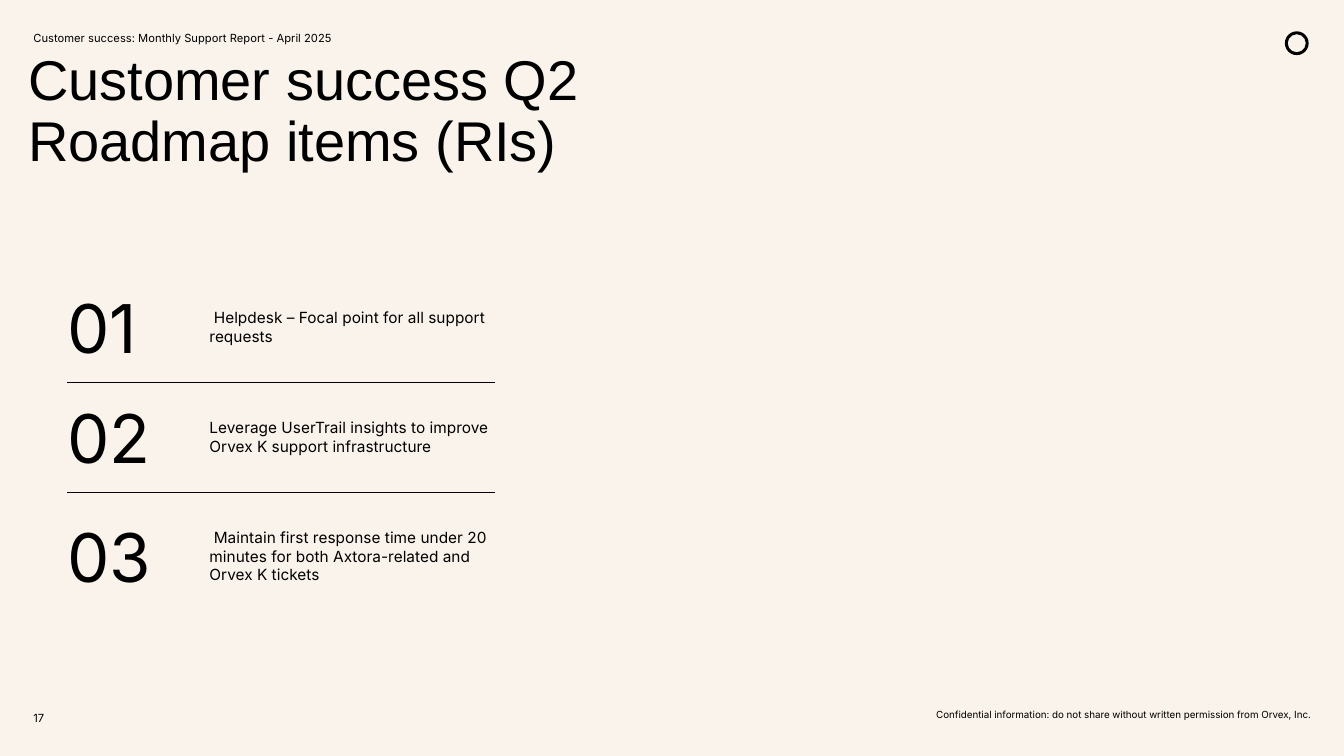
"""Build the customer success roadmap slide."""
from dataclasses import dataclass

import pptx
import pptx.dml.color
import pptx.enum.shapes
import pptx.enum.text
import pptx.oxml.ns
import pptx.util
from lxml import etree

Cm = pptx.util.Cm
ALIGN = pptx.enum.text.PP_ALIGN
ANCHOR = pptx.enum.text.MSO_ANCHOR
COLOURS = {"ink": "000000", "paper": "FAF3EB"}
ROW_LEFT, ROW_RIGHT, ROW_HEIGHT = 1.7, 12.47, 1.96
TEXT_LEFT, NUMBER_WIDTH = 5.28, 3.35
RULE_TOPS = (9.63, 12.42)


@dataclass
class Area:
    """A rectangle in centimetres."""
    left: float
    top: float
    width: float
    height: float


@dataclass
class Style:
    """The look of a block of text."""
    size: float
    font: str = "Inter"
    align: ALIGN = ALIGN.LEFT
    anchor: ANCHOR = ANCHOR.MIDDLE
    line_spacing: float = 1.0
    indent: float = 0


@dataclass
class RoadmapItem:
    """A numbered roadmap item and the top of its row."""
    number: str
    text: str
    top: float
    indent: float = 0


ITEMS = [
    RoadmapItem("01", "Helpdesk – Focal point for all support requests", 7.26, 0.11),
    RoadmapItem("02", "Leverage UserTrail insights to improve Orvex K support infrastructure", 10.03),
    RoadmapItem("03", "Maintain first response time under 20 minutes for both "
                "Axtora-related and Orvex K tickets", 13.03, 0.11),
]


def colour(name: str) -> pptx.dml.color.RGBColor:
    """Look up a named colour."""
    return pptx.dml.color.RGBColor.from_string(COLOURS[name])


def write(box, area: Area, text: str, style: Style) -> None:
    """Place a text shape, then fill and format it."""
    box.left, box.top = Cm(area.left), Cm(area.top)
    box.width, box.height = Cm(area.width), Cm(area.height)
    frame = box.text_frame
    frame.text = text
    frame.word_wrap = True
    frame.auto_size = pptx.enum.text.MSO_AUTO_SIZE.NONE
    frame.vertical_anchor = style.anchor
    frame.margin_left = frame.margin_top = frame.margin_right = frame.margin_bottom = 0
    para = frame.paragraphs[0]
    para.alignment = style.align
    para.line_spacing = style.line_spacing
    para.space_before = pptx.util.Pt(0)
    properties = para._p.get_or_add_pPr()
    properties.set("marL", "0")
    properties.set("indent", str(int(Cm(style.indent))))
    etree.SubElement(properties, pptx.oxml.ns.qn("a:buNone"))
    for span in para.runs:
        span.font.name = style.font
        span.font.size = pptx.util.Pt(style.size)
        span.font.bold = False
        span.font.color.rgb = colour("ink")


def add_text(page, area: Area, text: str, style: Style) -> None:
    """Add a text box."""
    write(page.shapes.add_textbox(0, 0, 0, 0), area, text, style)


def add_rule(page, top: float) -> None:
    """Draw a thin line between two rows."""
    rule = page.shapes.add_connector(pptx.enum.shapes.MSO_CONNECTOR.STRAIGHT,
                                     Cm(ROW_LEFT), Cm(top), Cm(ROW_RIGHT), Cm(top))
    rule.line.color.rgb = colour("ink")
    rule.line.width = pptx.util.Pt(0.75)
    etree.SubElement(rule._element.spPr, pptx.oxml.ns.qn("a:effectLst"))


def add_emblem(page) -> None:
    """Draw a plain ring in the top right corner."""
    ring = page.shapes.add_shape(pptx.enum.shapes.MSO_SHAPE.DONUT,
                                 Cm(32.39), Cm(0.79), Cm(0.6), Cm(0.6))
    ring.adjustments[0] = 0.12
    ring.shadow.inherit = False
    ring.fill.solid()
    ring.fill.fore_color.rgb = colour("ink")
    ring.line.fill.background()


def main() -> None:
    """Build and save the deck."""
    deck = pptx.Presentation()
    deck.slide_width, deck.slide_height = Cm(33.88), Cm(19.05)
    page = deck.slides.add_slide(deck.slide_layouts.get_by_name("Comparison"))
    page.background.fill.solid()
    page.background.fill.fore_color.rgb = colour("paper")
    title, header, *bodies = page.placeholders

    add_emblem(page)
    write(title, Area(0.71, 1.32, 16.15, 2.39), "Customer success Q2 Roadmap items (RIs)",
          Style(40, "Arial", anchor=ANCHOR.TOP, line_spacing=0.9))
    write(header, Area(0.84, 0.66, 12.24, 0.58),
          "Customer success: Monthly Support Report - April 2025", Style(8))
    for item, body in zip(ITEMS, bodies):
        add_text(page, Area(ROW_LEFT, item.top, NUMBER_WIDTH, ROW_HEIGHT),
                 item.number, Style(48))
        write(body, Area(TEXT_LEFT, item.top, ROW_RIGHT - TEXT_LEFT, ROW_HEIGHT),
              item.text, Style(11, indent=item.indent))
    for top in RULE_TOPS:
        add_rule(page, top)
    add_text(page, Area(0.84, 17.81, 0.84, 0.58), "17", Style(8))
    add_text(page, Area(19.23, 17.86, 13.82, 0.3),
             "Confidential information: do not share without written permission from Orvex, Inc.",
             Style(7, align=ALIGN.RIGHT))
    deck.save("out.pptx")


if __name__ == "__main__":
    main()
